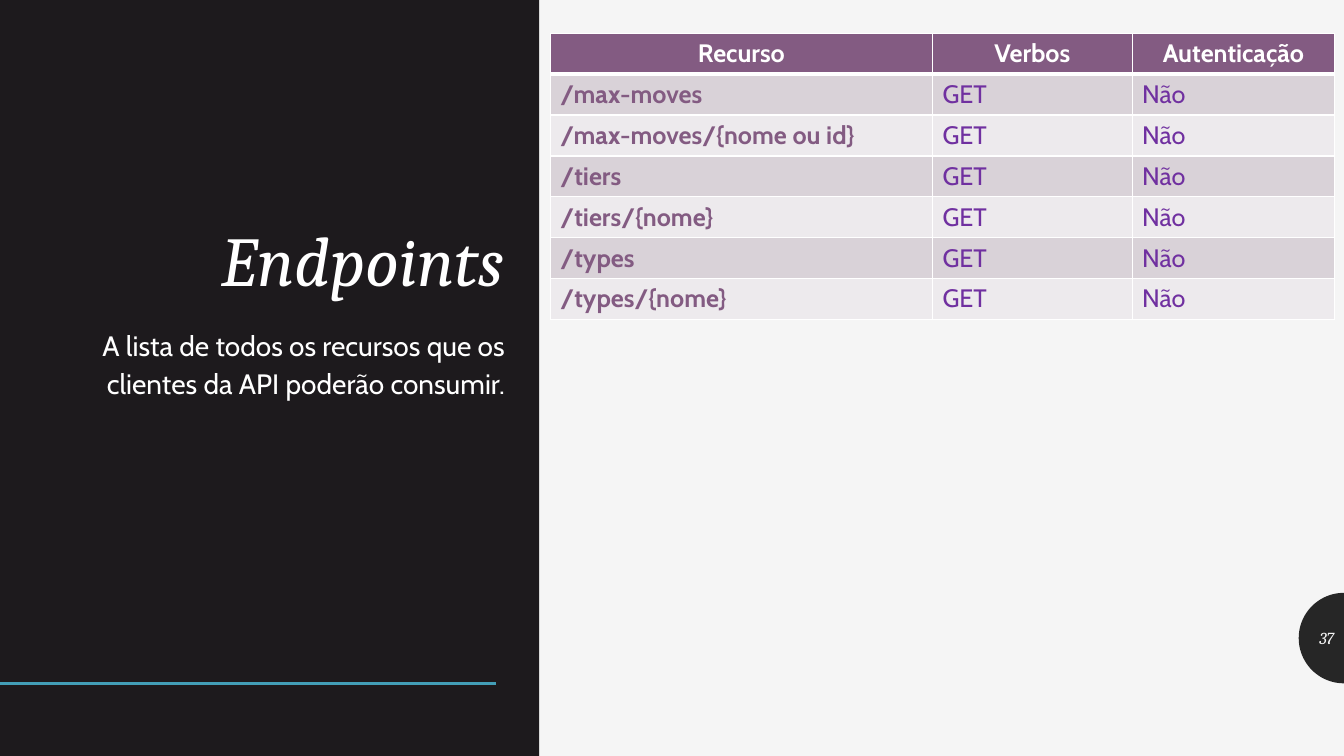
import math

from lxml import etree
from pptx import Presentation
from pptx.dml.color import RGBColor
from pptx.enum.shapes import MSO_CONNECTOR, MSO_SHAPE
from pptx.enum.text import MSO_ANCHOR, PP_ALIGN
from pptx.oxml.ns import qn
from pptx.util import Cm, Pt

LEFT, CENTER, RIGHT = PP_ALIGN.LEFT, PP_ALIGN.CENTER, PP_ALIGN.RIGHT
TOP, MIDDLE, BOTTOM = MSO_ANCHOR.TOP, MSO_ANCHOR.MIDDLE, MSO_ANCHOR.BOTTOM
RECTANGLE, STRAIGHT = MSO_SHAPE.RECTANGLE, MSO_CONNECTOR.STRAIGHT

TITLE = "Endpoints"
SUMMARY = "A lista de todos os recursos que os clientes da API poderão consumir."
PAGE_NUMBER = "37"
HEADERS = ["Recurso", "Verbos", "Autenticação"]
RESOURCES = [
    "/max-moves", "/max-moves/{nome ou id}",
    "/tiers", "/tiers/{nome}",
    "/types", "/types/{nome}",
]
VERB, AUTHENTICATION = "GET", "Não"

HEADING_FONT, BODY_FONT = "Cambria", "Cabin"
WHITE, PAPER, PANEL, BADGE, ACCENT = "FFFFFF", "F5F5F5", "1D1A1D", "262626", "439EB7"
PLUM, PURPLE = "835B82", "7030A0"
BANDS = ["D9D2D8", "EDEAED"]

SLIDE_WIDTH, SLIDE_HEIGHT = 33.87, 19.05
PANEL_WIDTH = 13.59
ACCENT_Y, ACCENT_END = 17.22, 12.5
BADGE_Y, BADGE_RADIUS = 16.08, 1.14
TABLE_LEFT, TABLE_TOP, ROW_HEIGHT = 13.87, 0.84, 1.03
COLUMN_WIDTHS = [9.63, 5.03, 5.11]


def color(value):
    return RGBColor.from_string(value)


def paint(shape, fill):
    shape.shadow.inherit = False
    shape.fill.solid()
    shape.fill.fore_color.rgb = color(fill)
    shape.line.fill.background()


def add_run(paragraph, text, font, size, fill, bold=False, italic=False):
    run = paragraph.add_run()
    run.text = text
    run.font.name = font
    run.font.size = Pt(size)
    run.font.bold = bold
    run.font.italic = italic
    run.font.color.rgb = color(fill)


def add_text(slide, box, text, font, size, fill, anchor, spacing=1.0, italic=False):
    """Add a right-aligned text box; box is left, top, width, height in cm."""
    frame = slide.shapes.add_textbox(*map(Cm, box)).text_frame
    frame.word_wrap = True
    frame.vertical_anchor = anchor
    paragraph = frame.paragraphs[0]
    paragraph.alignment = RIGHT
    paragraph.line_spacing = spacing
    add_run(paragraph, text, font, size, fill, italic=italic)


def add_badge(slide):
    """Add the half disc that touches the right edge of the slide."""
    steps = 48
    angles = [math.pi * (0.5 + step / steps) for step in range(steps + 1)]
    points = [
        (Cm(SLIDE_WIDTH + BADGE_RADIUS * math.cos(angle)),
         Cm(BADGE_Y + BADGE_RADIUS * math.sin(angle)))
        for angle in angles
    ]
    builder = slide.shapes.build_freeform(*points[0])
    builder.add_line_segments(points[1:], close=True)
    paint(builder.convert_to_shape(), BADGE)


def set_borders(cell, bottom_width):
    properties = cell._tc.get_or_add_tcPr()
    widths = {"lnL": 1, "lnR": 1, "lnT": 1, "lnB": bottom_width}
    for index, (side, width) in enumerate(widths.items()):
        line = etree.Element(qn(f"a:{side}"), w=str(Pt(width)))
        fill = etree.SubElement(line, qn("a:solidFill"))
        etree.SubElement(fill, qn("a:srgbClr"), val=WHITE)
        properties.insert(index, line)


def add_endpoint_table(slide):
    rows = [HEADERS] + [[resource, VERB, AUTHENTICATION] for resource in RESOURCES]
    table = slide.shapes.add_table(
        len(rows), len(HEADERS), Cm(TABLE_LEFT), Cm(TABLE_TOP),
        Cm(sum(COLUMN_WIDTHS)), Cm(ROW_HEIGHT * len(rows))).table
    for column, width in zip(table.columns, COLUMN_WIDTHS):
        column.width = Cm(width)
    for row_index, row in enumerate(rows):
        table.rows[row_index].height = Cm(ROW_HEIGHT)
        header = row_index == 0
        for column_index, text in enumerate(row):
            cell = table.cell(row_index, column_index)
            cell.fill.solid()
            cell.fill.fore_color.rgb = color(PLUM if header else BANDS[(row_index - 1) % 2])
            set_borders(cell, 3 if header else 1)
            first = column_index == 0
            text_color = WHITE if header else PLUM if first else PURPLE
            paragraph = cell.text_frame.paragraphs[0]
            paragraph.alignment = CENTER if header else LEFT
            add_run(paragraph, text, BODY_FONT, 18, text_color, bold=header or first)


def main():
    presentation = Presentation()
    presentation.slide_width = Cm(SLIDE_WIDTH)
    presentation.slide_height = Cm(SLIDE_HEIGHT)
    slide = presentation.slides.add_slide(presentation.slide_layouts[6])
    slide.background.fill.solid()
    slide.background.fill.fore_color.rgb = color(PAPER)

    add_badge(slide)
    panel = slide.shapes.add_shape(RECTANGLE, 0, 0, Cm(PANEL_WIDTH), Cm(SLIDE_HEIGHT))
    paint(panel, PANEL)
    accent = slide.shapes.add_connector(
        STRAIGHT, 0, Cm(ACCENT_Y), Cm(ACCENT_END), Cm(ACCENT_Y))
    accent.line.color.rgb = color(ACCENT)
    accent.line.width = Pt(2)
    etree.SubElement(accent._element.spPr, qn("a:effectLst"))

    add_text(slide, (2.31, 1.55, 10.65, 6.17), TITLE, HEADING_FONT, 50, WHITE,
             BOTTOM, spacing=0.9, italic=True)
    add_text(slide, (2.31, 8.05, 10.67, 7.92), SUMMARY, BODY_FONT, 20, WHITE,
             TOP, spacing=1.12)
    add_text(slide, (32.73, 15.57, 1.14, 1.02), PAGE_NUMBER, HEADING_FONT, 12, PAPER,
             MIDDLE, italic=True)
    add_endpoint_table(slide)
    presentation.save("out.pptx")


if __name__ == "__main__":
    main()
